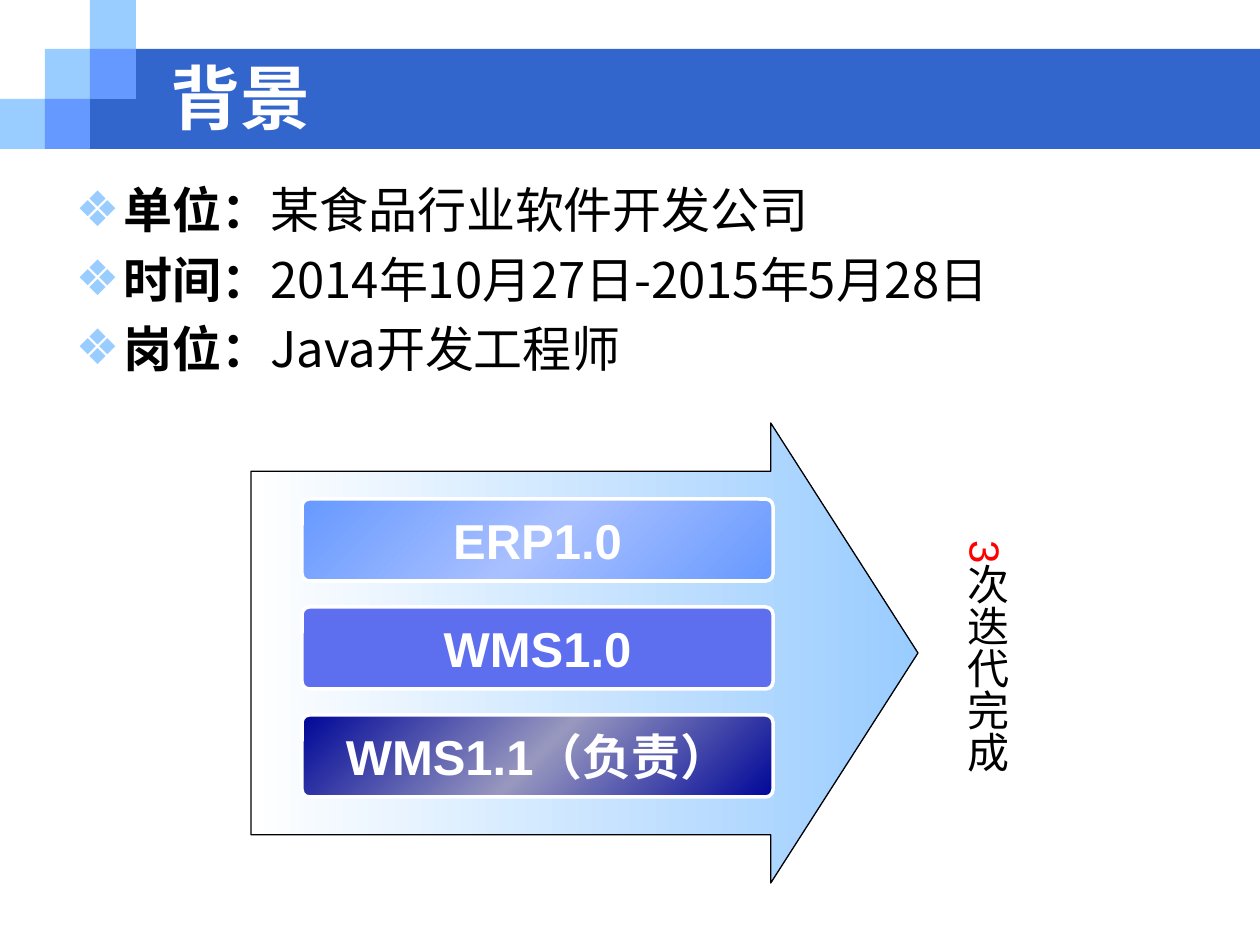
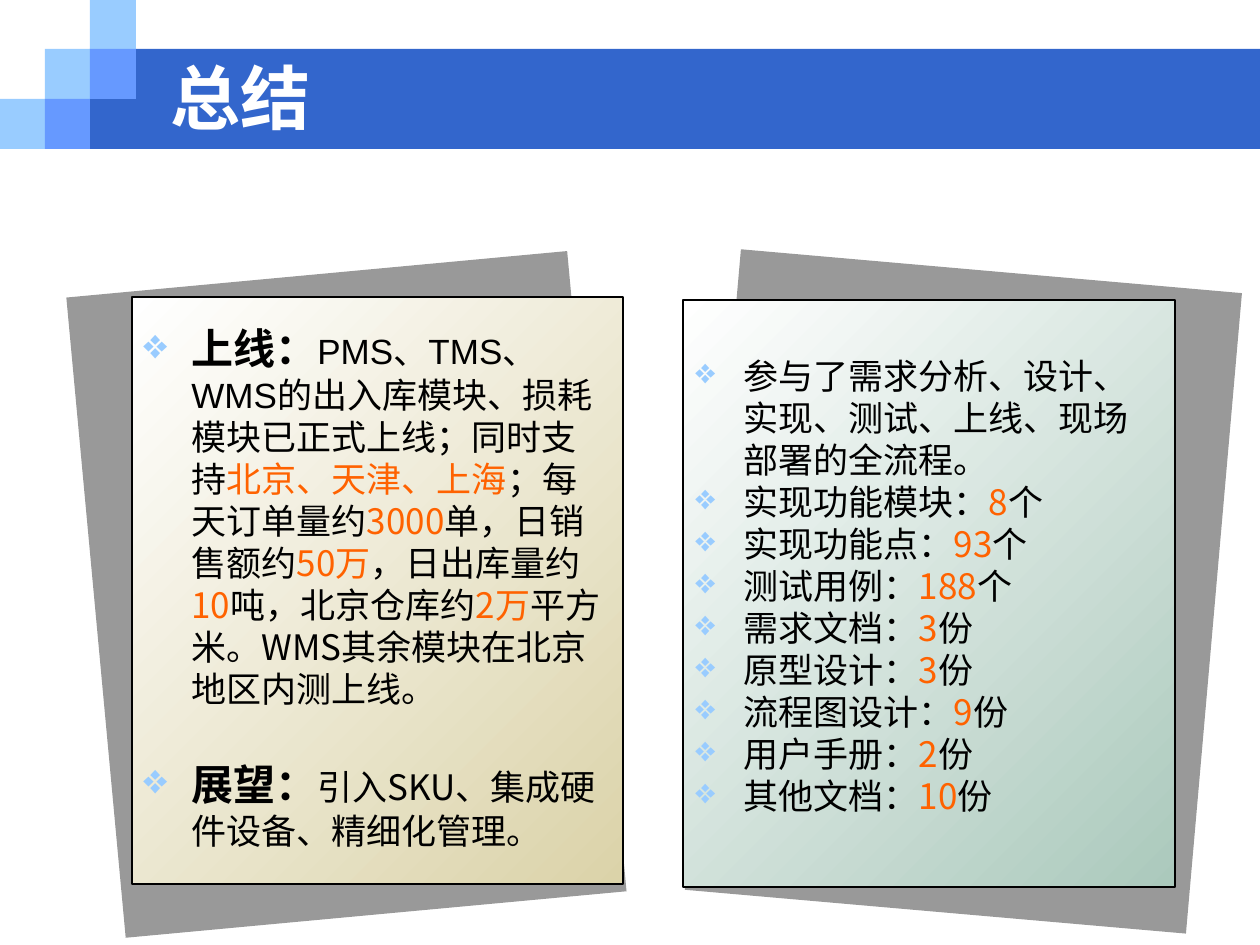
import pptx
import pptx.dml.color
import pptx.enum.shapes
import pptx.enum.text
import pptx.oxml
import pptx.oxml.ns
import pptx.util

# ---- Shared look ----
COLORS = {
    "band": "3366CC", "light": "99CCFF", "mid": "6699FF", "white": "FFFFFF",
    "black": "000000", "red": "FF0000", "accent": "FF6200", "shine": "A9C0FF",
    "violet": "5D6EEE", "navy": "000798", "navy_shine": "9898BF",
    "sand": "DBD3A9", "sage": "ABC9BC",
}
SANS, TITLE_FONT, LATIN = "Noto Sans CJK SC", "Noto Sans CJK JP", "Arial"
EMU_PER_PX = 914400 / 126
PAGE_SIZE = (1260, 945)
TITLE_BOX = (158, 63, 1018, 67)
INDENT = 48

# Style name: (size, font, colour, bold)
STYLES = {
    "title": (40, TITLE_FONT, "white", True),
    "label": (28, SANS, "black", True),
    "value": (28, SANS, "black", False),
    "bar": (28, LATIN, "white", True),
    "bar_cjk": (28, SANS, "white", True),
    "count": (24, LATIN, "red", False),
    "vertical": (24, LATIN, "black", False),
    "head": (24, SANS, "black", True),
    "latin": (20, LATIN, "black", False),
    "text": (20, SANS, "black", False),
    "mark": (20, SANS, "accent", False),
}

# ---- Content: slide 1 ----
BACKGROUND_TITLE = "背景"
FACTS = [
    ("单位：", "某食品行业软件开发公司"),
    ("时间：", "2014年10月27日-2015年5月28日"),
    ("岗位：", "Java开发工程师"),
]
VERSIONS = [
    ([("ERP1.0", "bar")], ["mid", "shine", "mid"]),
    ([("WMS1.0", "bar")], ["violet"]),
    ([("WMS1.1（", "bar"), ("负责）", "bar_cjk")], ["navy", "navy_shine", "navy"]),
]
ITERATIONS = [("3", "count"), ("次迭代完成", "vertical")]

# ---- Content: slide 2 ----
SUMMARY_TITLE = "总结"
RESULTS = [
    [("上线：", "head"), ("PMS、TMS、WMS", "latin"),
     ("的出入库模块、损耗模块已正式上线；同时支持", "text"),
     ("北京、天津、上海", "mark"), ("；每天订单量约", "text"),
     ("3000", "mark"), ("单，日销售额约", "text"),
     ("50万", "mark"), ("，日出库量约", "text"),
     ("10", "mark"), ("吨，北京仓库约", "text"),
     ("2万", "mark"), ("平方米。WMS其余模块在北京地区内测上线。", "text")],
    [("展望：", "head"), ("引入SKU、集成硬件设备、精细化管理。", "text")],
]
PROCESS = "参与了需求分析、设计、实现、测试、上线、现场部署的全流程。"
OUTPUTS = [
    ("实现功能模块：", "8", "个"), ("实现功能点：", "93", "个"),
    ("测试用例：", "188", "个"), ("需求文档：", "3", "份"),
    ("原型设计：", "3", "份"), ("流程图设计：", "9", "份"),
    ("用户手册：", "2", "份"), ("其他文档：", "10", "份"),
]
WORK = [[(PROCESS, "text")]] + [
    [(name, "text"), (number, "mark"), (unit, "text")] for name, number, unit in OUTPUTS
]
# Shadow box, its rotation, card box, card colour, text box, paragraphs, gap
CARDS = [
    ((95, 273, 503, 643), -5.3, (132, 297, 491, 587), "sand",
     (131, 325, 490, 560), RESULTS, 33),
    ((712, 270, 503, 643), 5, (683, 300, 492, 587), "sage",
     (683, 348, 490, 530), WORK, 0),
]


# ---- Helpers ----
def px(length):
    return pptx.util.Emu(round(length * EMU_PER_PX))


def rgb(name):
    return pptx.dml.color.RGBColor.from_string(COLORS[name])


def xml(markup):
    opening, rest = markup.split(" ", 1)
    return pptx.oxml.parse_xml(f"{opening} {pptx.oxml.ns.nsdecls('a')} {rest}")


def place(shape, box):
    shape.left, shape.top, shape.width, shape.height = map(px, box)


def paint(shape, names, angle=45):
    """Fill with one colour, or with a gradient of evenly spaced colours."""
    shape.fill.solid()
    shape.fill.fore_color.rgb = rgb(names[0])
    if len(names) > 1:
        step = 100000 // (len(names) - 1)
        stops = "".join(
            f'<a:gs pos="{place_no * step}"><a:srgbClr val="{COLORS[name]}"/></a:gs>'
            for place_no, name in enumerate(names))
        properties = shape._element.spPr
        properties.replace(
            properties.find(pptx.oxml.ns.qn("a:solidFill")),
            xml(f'<a:gradFill rotWithShape="1"><a:gsLst>{stops}</a:gsLst>'
                f'<a:lin ang="{angle * 60000}" scaled="0"/></a:gradFill>'))


def add_block(shapes, kind, box, names, line=None, width=0.75, angle=45):
    preset = getattr(pptx.enum.shapes.MSO_SHAPE, kind)
    block = shapes.add_shape(preset, *map(px, box))
    block.shadow.inherit = False
    paint(block, names, angle)
    if line:
        block.line.color.rgb = rgb(line)
        block.line.width = pptx.util.Pt(width)
    else:
        block.line.fill.background()
    return block


def add_spans(para, spans):
    for text, style in spans:
        size, font, color, bold = STYLES[style]
        span = para.add_run()
        span.text = text
        span.font.size = pptx.util.Pt(size)
        span.font.name = font
        span.font.bold = bold
        span.font.color.rgb = rgb(color)
        east_asian = SANS if font == LATIN else font
        span.font._element.find(pptx.oxml.ns.qn("a:latin")).addnext(
            xml(f'<a:ea typeface="{east_asian}"/>'))


def add_bullets(frame, paragraphs, line_height, gap):
    frame.word_wrap = True
    frame.auto_size = pptx.enum.text.MSO_AUTO_SIZE.NONE
    for number, spans in enumerate(paragraphs):
        para = frame.add_paragraph() if number else frame.paragraphs[0]
        properties = para._p.get_or_add_pPr()
        properties.set("marL", str(px(INDENT)))
        properties.set("indent", str(-px(INDENT)))
        properties.append(xml(f'<a:buClr ><a:srgbClr val="{COLORS["light"]}"/></a:buClr>'))
        properties.append(xml('<a:buChar char="❖"/>'))
        para.line_spacing = pptx.util.Pt(line_height)
        para.space_before = pptx.util.Pt(gap if number else 0)
        add_spans(para, spans)


def center_spans(frame, spans):
    frame.word_wrap = False
    para = frame.paragraphs[0]
    para.alignment = pptx.enum.text.PP_ALIGN.CENTER
    add_spans(para, spans)


def add_page(deck, layout_number, title):
    page = deck.slides.add_slide(deck.slide_layouts[layout_number])
    heading = page.shapes.title
    place(heading, TITLE_BOX)
    frame = heading.text_frame
    frame.auto_size = pptx.enum.text.MSO_AUTO_SIZE.NONE
    frame.vertical_anchor = pptx.enum.text.MSO_ANCHOR.MIDDLE
    frame.paragraphs[0].alignment = pptx.enum.text.PP_ALIGN.LEFT
    add_spans(frame.paragraphs[0], [(title, "title")])
    return page


def add_master_band(deck, page):
    """Draw the title band and its stair of tiles, then move them to the master."""
    columns = [136 * number // 3 for number in range(4)]
    rows = [149 * number // 3 for number in range(4)]
    tiles = [(0, 2, "light"), (1, 1, "light"), (2, 0, "light"),
             (2, 1, "mid"), (1, 2, "mid")]
    left, top = columns[2], rows[1]
    blocks = [add_block(page.shapes, "RECTANGLE",
                        (left, top, PAGE_SIZE[0] - left, rows[3] - top), ["band"])]
    for column, row, color in tiles:
        box = (columns[column], rows[row],
               columns[column + 1] - columns[column], rows[row + 1] - rows[row])
        blocks.append(add_block(page.shapes, "RECTANGLE", box, [color]))
    tree = deck.slide_master.shapes._spTree
    for number, block in enumerate(blocks):
        tree.insert(2 + number, block._element)


# ---- Slides ----
def build_background(deck):
    page = add_page(deck, 1, BACKGROUND_TITLE)
    add_master_band(deck, page)

    # Facts
    body = page.placeholders[1]
    place(body, (63, 173, 1134, 719))
    facts = [[(label, "label"), (value, "value")] for label, value in FACTS]
    add_bullets(body.text_frame, facts, 34, 5.5)

    # Arrow with one bar per version
    arrow = add_block(page.shapes, "RIGHT_ARROW", (251, 423, 667, 460),
                      ["white", "light"], "black", angle=0)
    arrow.adjustments[0], arrow.adjustments[1] = 0.79, 0.32
    for number, (spans, fill) in enumerate(VERSIONS):
        bar = add_block(page.shapes, "ROUNDED_RECTANGLE",
                        (302, 499 + 108 * number, 471, 82), fill, "white", 2)
        bar.adjustments[0] = 0.09
        bar.text_frame.vertical_anchor = pptx.enum.text.MSO_ANCHOR.MIDDLE
        center_spans(bar.text_frame, spans)

    # Vertical remark
    remark = page.shapes.add_textbox(*map(px, (941, 528, 77, 248)))
    remark.text_frame._txBody.bodyPr.set("vert", "eaVert")
    center_spans(remark.text_frame, ITERATIONS)


def build_summary(deck):
    page = add_page(deck, 5, SUMMARY_TITLE)
    for shadow_box, rotation, card_box, color, _, _, _ in CARDS:
        group = page.shapes.add_group_shape()
        shadow = add_block(group.shapes, "RECTANGLE", shadow_box, ["black"])
        shadow.rotation = rotation
        shade = shadow._element.spPr.find(pptx.oxml.ns.qn("a:solidFill"))[0]
        shade.append(xml('<a:alpha val="40000"/>'))
        add_block(group.shapes, "RECTANGLE", card_box, ["white", color], "black")
    for _, _, _, _, text_box, paragraphs, gap in CARDS:
        box = page.shapes.add_textbox(*map(px, text_box))
        add_bullets(box.text_frame, paragraphs, 24, gap)


def main():
    deck = pptx.Presentation()
    deck.slide_width, deck.slide_height = map(px, PAGE_SIZE)
    build_background(deck)
    build_summary(deck)
    deck.save("out.pptx")


if __name__ == "__main__":
    main()
